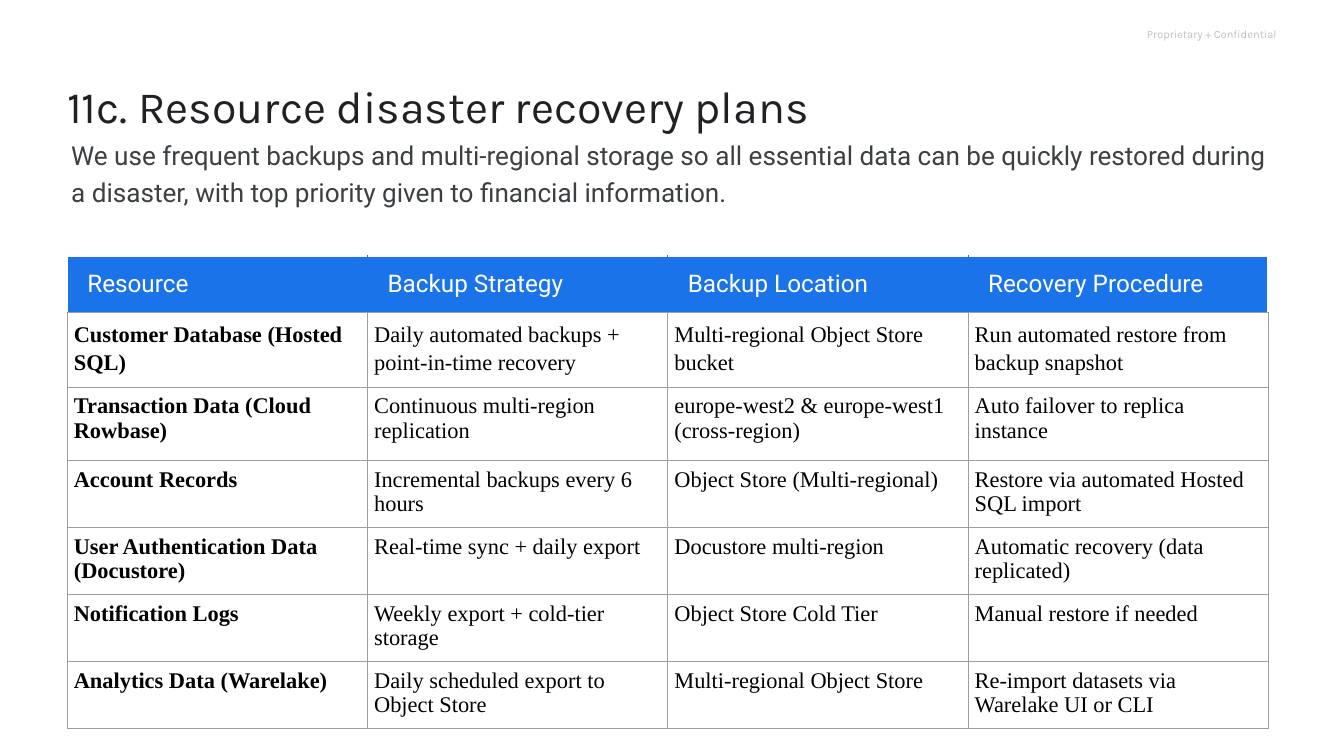
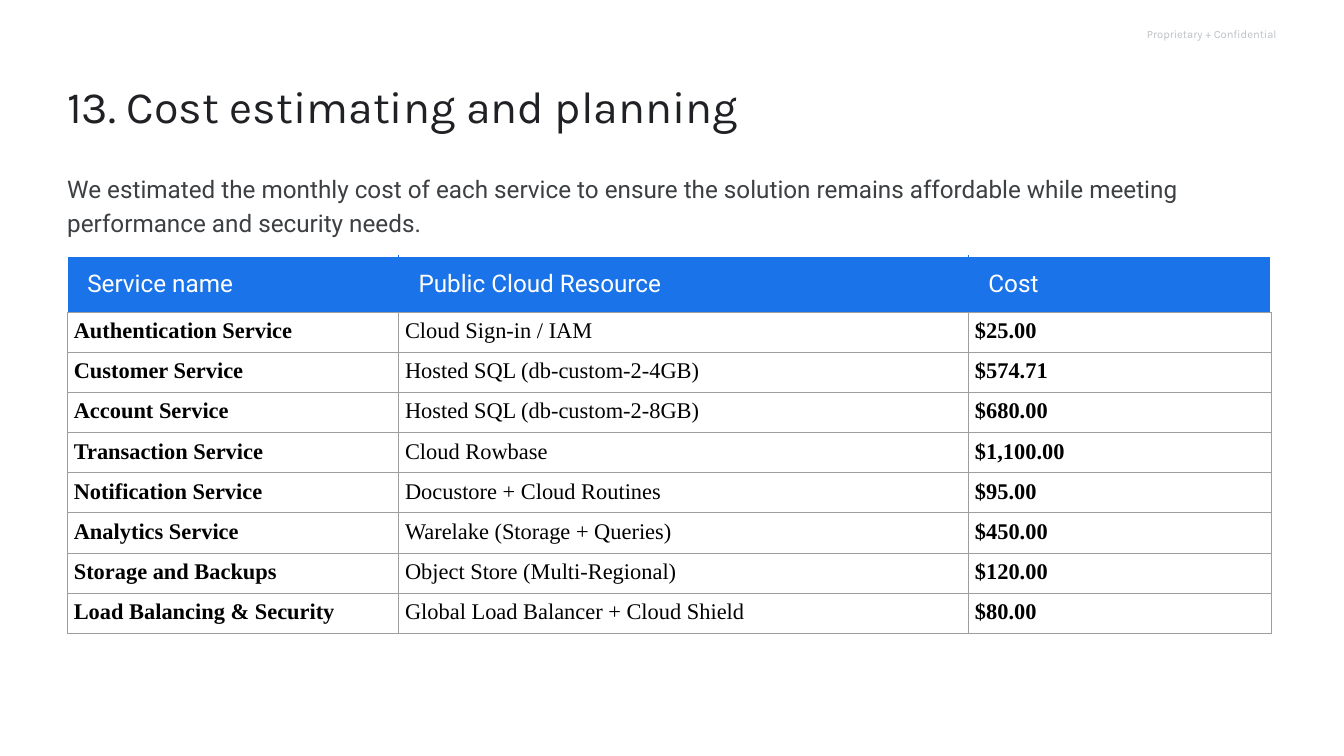
from lxml import etree
from pptx import Presentation
from pptx.dml.color import RGBColor
from pptx.enum.text import MSO_ANCHOR, PP_ALIGN
from pptx.oxml.ns import qn
from pptx.util import Cm, Pt

TOP, MIDDLE = MSO_ANCHOR.TOP, MSO_ANCHOR.MIDDLE
LEFT, RIGHT = PP_ALIGN.LEFT, PP_ALIGN.RIGHT
WHITE = RGBColor(0xFF, 0xFF, 0xFF)
BLACK = RGBColor(0x00, 0x00, 0x00)
BLUE = RGBColor(0x1A, 0x73, 0xE8)
INK = RGBColor(0x20, 0x21, 0x24)
SLATE = RGBColor(0x3C, 0x40, 0x43)
PALE = RGBColor(0xBD, 0xC1, 0xC6)
GREY = RGBColor(0x9E, 0x9E, 0x9E)
HEAD, BODY, SERIF = "Karla", "Roboto", "Times New Roman"
EDGE = 2.54

PAGES = [
    {
        "title": "11c. Resource disaster recovery plans",
        "title_box": (EDGE, 2.57, 43.69, 2.54),
        "intro": "We use frequent backups and multi-regional storage so all essential data can be "
                 "quickly restored during a disaster, with top priority given to financial information.",
        "intro_box": (2.69, 5.11, 45.42, 2.57),
        "intro_size": 28,
        "cols": [11.35] * 4,
        "rows": [1.75, 1.83, 2.77] + [1.83] * 4,
        "bold": {0},
        "loose": 1,
        "cells": [
            ["Resource", "Backup Strategy", "Backup Location", "Recovery Procedure"],
            ["Customer Database (Hosted SQL)", "Daily automated backups + point-in-time recovery",
             "Multi-regional Object Store bucket", "Run automated restore from backup snapshot"],
            ["Transaction Data (Cloud Rowbase)", "Continuous multi-region replication",
             "europe-west2 & europe-west1 (cross-region)", "Auto failover to replica instance"],
            ["Account Records", "Incremental backups every 6 hours",
             "Object Store (Multi-regional)", "Restore via automated Hosted SQL import"],
            ["User Authentication Data (Docustore)", "Real-time sync + daily export",
             "Docustore multi-region", "Automatic recovery (data replicated)"],
            ["Notification Logs", "Weekly export + cold-tier storage",
             "Object Store Cold Tier", "Manual restore if needed"],
            ["Analytics Data (Warelake)", "Daily scheduled export to Object Store",
             "Multi-regional Object Store", "Re-import datasets via Warelake UI or CLI"],
        ],
    },
    {
        "title": "13. Cost estimating and planning",
        "title_box": (EDGE, 2.57, 45.14, 3),
        "intro": "We estimated the monthly cost of each service to ensure the solution remains "
                 "affordable while meeting performance and security needs.",
        "intro_box": (EDGE, 6.43, 43.38, 2.39),
        "intro_size": 26,
        "cols": [12.52, 21.54, 11.46],
        "rows": [0.46] * 9,
        "bold": {0, 2},
        "loose": None,
        "cells": [
            ["Service name", "Public Cloud Resource", "Cost"],
            ["Authentication Service", "Cloud Sign-in / IAM", "$25.00"],
            ["Customer Service", "Hosted SQL (db-custom-2-4GB)", "$574.71"],
            ["Account Service", "Hosted SQL (db-custom-2-8GB)", "$680.00"],
            ["Transaction Service", "Cloud Rowbase", "$1,100.00"],
            ["Notification Service", "Docustore + Cloud Routines", "$95.00"],
            ["Analytics Service", "Warelake (Storage + Queries)", "$450.00"],
            ["Storage and Backups", "Object Store (Multi-Regional)", "$120.00"],
            ["Load Balancing & Security", "Global Load Balancer + Cloud Shield", "$80.00"],
        ],
    },
]


def write(slide, box, text, face, size, color, line=1.0, after=0, align=LEFT, anchor=TOP, right=0):
    frame = slide.shapes.add_textbox(*map(Cm, box)).text_frame
    frame.word_wrap = True
    frame.vertical_anchor = anchor
    frame.margin_left = frame.margin_top = frame.margin_bottom = 0
    frame.margin_right = Cm(right)
    frame.text = text
    para = frame.paragraphs[0]
    para.alignment = align
    para.line_spacing = line
    para.space_after = Pt(after)
    font = para.runs[0].font
    font.name, font.size, font.color.rgb = face, Pt(size), color


def border(cell, side, color, width):
    props = cell._tc.get_or_add_tcPr()
    line = etree.SubElement(props, qn("a:ln" + side), w=str(Pt(width)))
    fill = etree.SubElement(line, qn("a:solidFill"))
    etree.SubElement(fill, qn("a:srgbClr"), val=str(color))


deck = Presentation()
deck.slide_width, deck.slide_height = Cm(50.8), Cm(28.58)

for page in PAGES:
    slide = deck.slides.add_slide(deck.slide_layouts[6])
    write(slide, (37.57, 0, 10.69, 2.57), "Proprietary + Confidential", HEAD, 12, PALE,
          align=RIGHT, anchor=MIDDLE)
    write(slide, page["title_box"], page["title"], HEAD, 48, INK, line=1.2, right=0.51)

    cols, rows = page["cols"], page["rows"]
    table = slide.shapes.add_table(len(rows), len(cols), Cm(EDGE), Cm(9.68),
                                   Cm(sum(cols)), Cm(sum(rows))).table
    table.first_row = table.horz_banding = False
    for col, width in zip(table.columns, cols):
        col.width = Cm(width)
    for row, height in zip(table.rows, rows):
        row.height = Cm(height)

    last = len(cols) - 1
    for r, texts in enumerate(page["cells"]):
        for c, text in enumerate(texts):
            cell = table.cell(r, c)
            cell.text = text
            para = cell.text_frame.paragraphs[0]
            font = para.runs[0].font
            pad = 0.25 if r else 0.51
            cell.margin_left = Cm(0.25 if r else 0.76)
            cell.margin_right = cell.margin_top = cell.margin_bottom = Cm(pad)
            if r:
                for side in "LRTB":
                    border(cell, side, GREY, 0.75)
                cell.fill.background()
                font.name, font.size, font.color.rgb = SERIF, Pt(24), BLACK
                font.bold = c in page["bold"]
                if r == page["loose"]:
                    para.line_spacing = 1.15
            else:
                border(cell, "L", *((BLUE, 0.75) if c else (WHITE, 3)))
                border(cell, "R", *((BLUE, 0.75) if c < last else (WHITE, 3)))
                border(cell, "T", WHITE, 3)
                border(cell, "B", GREY, 0.75)
                cell.fill.solid()
                cell.fill.fore_color.rgb = BLUE
                font.name, font.size, font.color.rgb = BODY, Pt(26), WHITE

    write(slide, page["intro_box"], page["intro"], BODY, page["intro_size"], SLATE,
          line=1.15, after=16)

deck.save("out.pptx")
